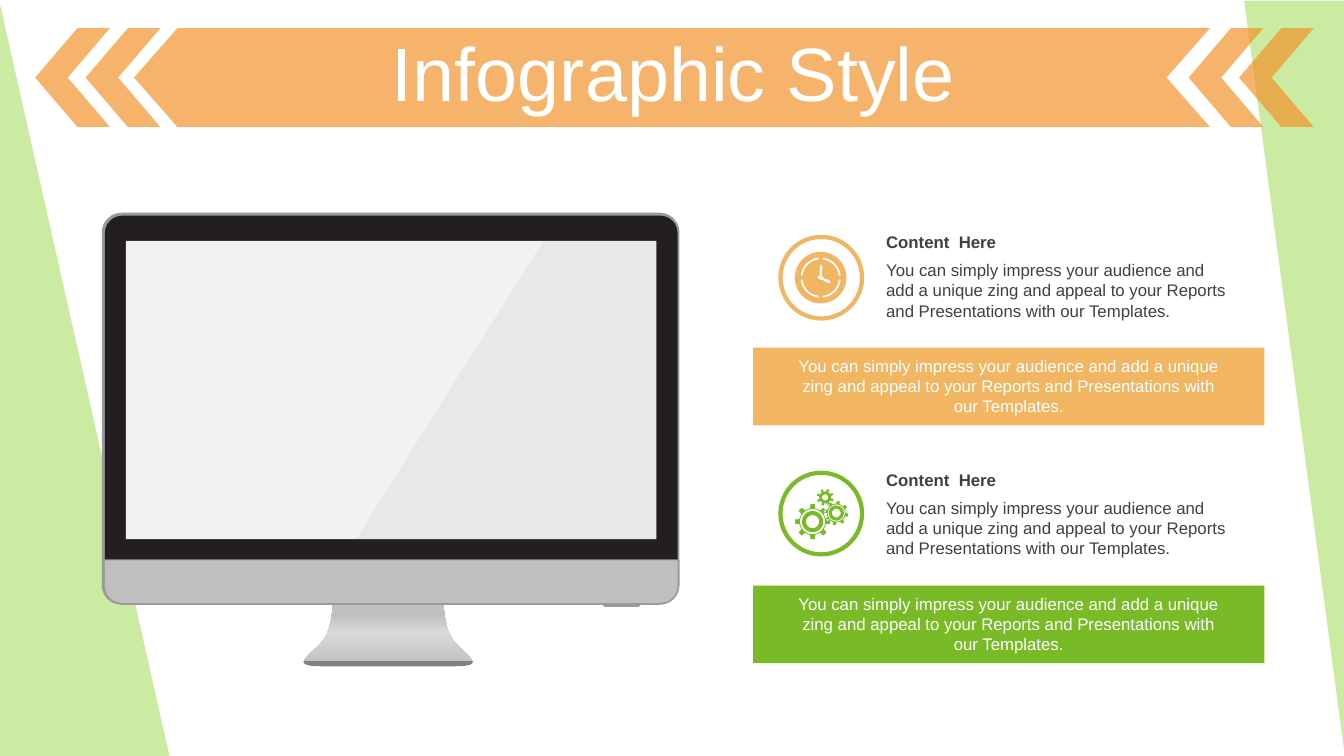
from copy import deepcopy
from math import cos, pi, radians, sin

from lxml.etree import SubElement
from pptx import Presentation
from pptx.dml.color import RGBColor
from pptx.enum.shapes import MSO_SHAPE as SHAPE
from pptx.enum.text import MSO_ANCHOR as ANCHOR, PP_ALIGN as ALIGN
from pptx.oxml.ns import qn
from pptx.util import Inches, Pt

COLORS = {
    "white": "FFFFFF", "pale_green": "CAEBA1", "banner": "F3932D",
    "orange": "F2B662", "green": "79BA27", "text": "404040",
    "edge": "999999", "bezel": "231F20", "silver": "BFBFBF",
    "shine": "D9D9D9", "base": "808080", "screen": "F2F2F2",
}
BODY = ("You can simply impress your audience and add a unique zing and "
        "appeal to your Reports and Presentations with our Templates.")
STAND_AXIS = 3.85


def rgb(color):
    return RGBColor.from_string(COLORS[color])


def paint(shape, color, alpha=None):
    shape.shadow.inherit = False
    shape.line.fill.background()
    shape.fill.solid()
    shape.fill.fore_color.rgb = rgb(color)
    if alpha is not None:
        tint = shape.element.spPr.find(qn("a:solidFill")).find(qn("a:srgbClr"))
        SubElement(tint, qn("a:alpha")).set("val", str(alpha * 1000))


def add_preset(slide, kind, box, color, alpha=None, adjust=(), flip=()):
    shape = slide.shapes.add_shape(kind, *map(Inches, box))
    paint(shape, color, alpha)
    for index, value in enumerate(adjust):
        shape.adjustments[index] = value
    for axis in flip:
        shape.element.spPr.find(qn("a:xfrm")).set("flip" + axis, "1")
    return shape


def add_outline(slide, contours, color, alpha=None):
    """Draw closed contours as one shape; inner contours become holes."""
    paths = [[(Inches(x), Inches(y)) for x, y in points] for points in contours]
    builder = slide.shapes.build_freeform(*paths[0][0])
    for number, points in enumerate(paths):
        if number:
            builder.move_to(*points[0])
        builder.add_line_segments(points[1:], close=True)
    shape = builder.convert_to_shape()
    paint(shape, color, alpha)
    return shape


def add_text(slide, box, text, color, size=12, bold=False,
             align=ALIGN.LEFT, anchor=ANCHOR.TOP, spacing=None):
    frame = slide.shapes.add_textbox(*map(Inches, box)).text_frame
    frame.word_wrap = True
    frame.vertical_anchor = anchor
    frame.text = text
    paragraph = frame.paragraphs[0]
    paragraph.alignment = align
    if spacing:
        paragraph.line_spacing = spacing
    font = paragraph.runs[0].font
    font.name, font.size, font.bold = "Arial", Pt(size), bold
    font.color.rgb = rgb(color)


# Curves
def polar(center, radius, angle):
    return center[0] + radius * cos(angle), center[1] + radius * sin(angle)


def arc(center, radius, start=0, end=360, steps=48):
    return [polar(center, radius, radians(start + (end - start) * i / steps))
            for i in range(steps + 1)]


def bezier(a, b, c, d, steps=12):
    curve = []
    for i in range(steps + 1):
        t = i / steps
        weights = ((1 - t) ** 3, 3 * t * (1 - t) ** 2, 3 * t * t * (1 - t), t ** 3)
        curve.append(tuple(sum(w * p[k] for w, p in zip(weights, (a, b, c, d)))
                           for k in (0, 1)))
    return curve


def mirrored(right_side):
    return right_side + [(2 * STAND_AXIS - x, y) for x, y in reversed(right_side)]


def gear(center, tip, root, teeth, tilt, holes):
    outline = []
    pitch = 2 * pi / teeth
    for tooth in range(teeth):
        middle = radians(tilt) + tooth * pitch
        for radius, offset in ((root, -0.23), (tip, -0.16), (tip, 0.16), (root, 0.23)):
            outline.append(polar(center, radius, middle + offset * pitch))
    return [outline] + [arc(center, radius) for radius in holes]


# Backdrop and banner
def add_backdrop(slide):
    add_preset(slide, SHAPE.RIGHT_TRIANGLE, (-0.01, 0, 1.69, 7.5), "pale_green")
    add_preset(slide, SHAPE.RIGHT_TRIANGLE, (12.34, 0.01, 1, 7.5), "pale_green",
               flip="HV")


def add_banner(slide):
    for left in (0.35, 0.85, 11.79, 12.29):
        add_preset(slide, SHAPE.CHEVRON, (left, 0.28, 0.74, 0.98), "banner", 70,
                   adjust=(0.565,), flip="H")
    ribbon = [(1.76, 0.28), (12, 0.28), (11.57, 0.77), (12, 1.26),
              (1.76, 1.26), (1.33, 0.77)]
    add_outline(slide, [ribbon], "banner", 70)
    add_text(slide, (0.35, 0.37, 12.66, 0.79), "Infographic Style", "white", 54,
             align=ALIGN.CENTER, anchor=ANCHOR.MIDDLE, spacing=0.9)


# Monitor
def add_stand(slide):
    neck = bezier((4.4, 5.99), (4.4, 5.99), (4.4, 6.26), (4.52, 6.38))
    foot = bezier((4.52, 6.38), (4.64, 6.51), (4.83, 6.61), (4.51, 6.61))
    stand = add_outline(slide, [mirrored(neck + foot[1:])], "silver")
    stand.fill.gradient()
    stand.fill.gradient_angle = 90
    stop_list = stand.element.spPr.find(qn("a:gradFill")).find(qn("a:gsLst"))
    for _ in range(2):
        stop_list.append(deepcopy(stop_list[0]))
    shades = ((0, "silver"), (0.53, "shine"), (0.83, "silver"), (1, "silver"))
    for stop, (position, color) in zip(stand.fill.gradient_stops, shades):
        stop.position = position
        stop.color.rgb = rgb(color)


def add_monitor(slide):
    add_stand(slide)
    add_preset(slide, SHAPE.ROUNDED_RECTANGLE, (1.01, 2.11, 5.73, 3.89), "edge",
               adjust=(0.05,))
    two_rounded = SHAPE.ROUND_2_SAME_RECTANGLE
    add_preset(slide, two_rounded, (5.98, 5.98, 0.37, 0.04), "edge", adjust=(0, 0.5))
    add_preset(slide, two_rounded, (1.04, 2.14, 5.68, 3.41), "bezel", adjust=(0.05, 0))
    base = bezier((4.69, 6.56), (4.69, 6.59), (4.65, 6.61), (4.51, 6.61))
    add_outline(slide, [mirrored(base)], "base")
    add_preset(slide, two_rounded, (1.04, 5.56, 5.68, 0.42), "silver", adjust=(0, 0.4))
    add_preset(slide, SHAPE.RECTANGLE, (1.25, 2.39, 5.26, 2.96), "screen")
    glare = [(5.39, 2.39), (6.51, 2.39), (6.51, 5.35), (3.53, 5.35)]
    add_outline(slide, [glare], "edge", 10)


# Icons
def add_clock(slide, color):
    center = (8.14, 2.755)
    dial = [arc(center, 0.2, start, start + 78) + arc(center, 0.18, start + 78, start)
            for start in range(6, 360, 90)]
    hands = [(8.14, 2.62), (8.16, 2.65), (8.15, 2.73), (8.17, 2.76), (8.23, 2.78),
             (8.24, 2.81), (8.21, 2.81), (8.16, 2.78), (8.14, 2.78), (8.11, 2.76),
             (8.11, 2.74), (8.13, 2.73), (8.13, 2.65)]
    add_outline(slide, [arc(center, 0.256), *dial, hands], color)


def add_gears(slide, color):
    large = gear((8.06, 5.175), 0.175, 0.135, 8, 0, (0.125, 0.105, 0.065))
    medium = gear((8.295, 5.09), 0.12, 0.095, 8, 10, (0.085, 0.075, 0.043))
    small = gear((8.185, 4.935), 0.085, 0.06, 8, 20, (0.03,))
    add_outline(slide, large + medium + small, color)


# Content sections
def add_section(slide, top, ring_top, color, add_icon):
    bar_top = top + 1.2
    add_preset(slide, SHAPE.RECTANGLE, (7.47, bar_top, 5.07, 0.77), color)
    ring = add_preset(slide, SHAPE.OVAL, (7.74, ring_top, 0.81, 0.81), "white")
    ring.line.color.rgb = rgb(color)
    ring.line.width = Pt(3)
    add_icon(slide, color)
    add_text(slide, (8.69, top, 3.58, 0.3), "Content  Here", "text", bold=True,
             anchor=ANCHOR.MIDDLE)
    add_text(slide, (8.69, top + 0.28, 3.58, 0.71), BODY, "text")
    add_text(slide, (7.79, bar_top + 0.03, 4.43, 0.71), BODY, "white",
             align=ALIGN.CENTER)


def main():
    deck = Presentation()
    deck.slide_width, deck.slide_height = Inches(13.33), Inches(7.5)
    slide = deck.slides.add_slide(deck.slide_layouts[6])
    add_backdrop(slide)
    add_monitor(slide)
    add_banner(slide)
    add_section(slide, 2.25, 2.35, "orange", add_clock)
    add_section(slide, 4.61, 4.69, "green", add_gears)
    deck.save("out.pptx")


if __name__ == "__main__":
    main()
